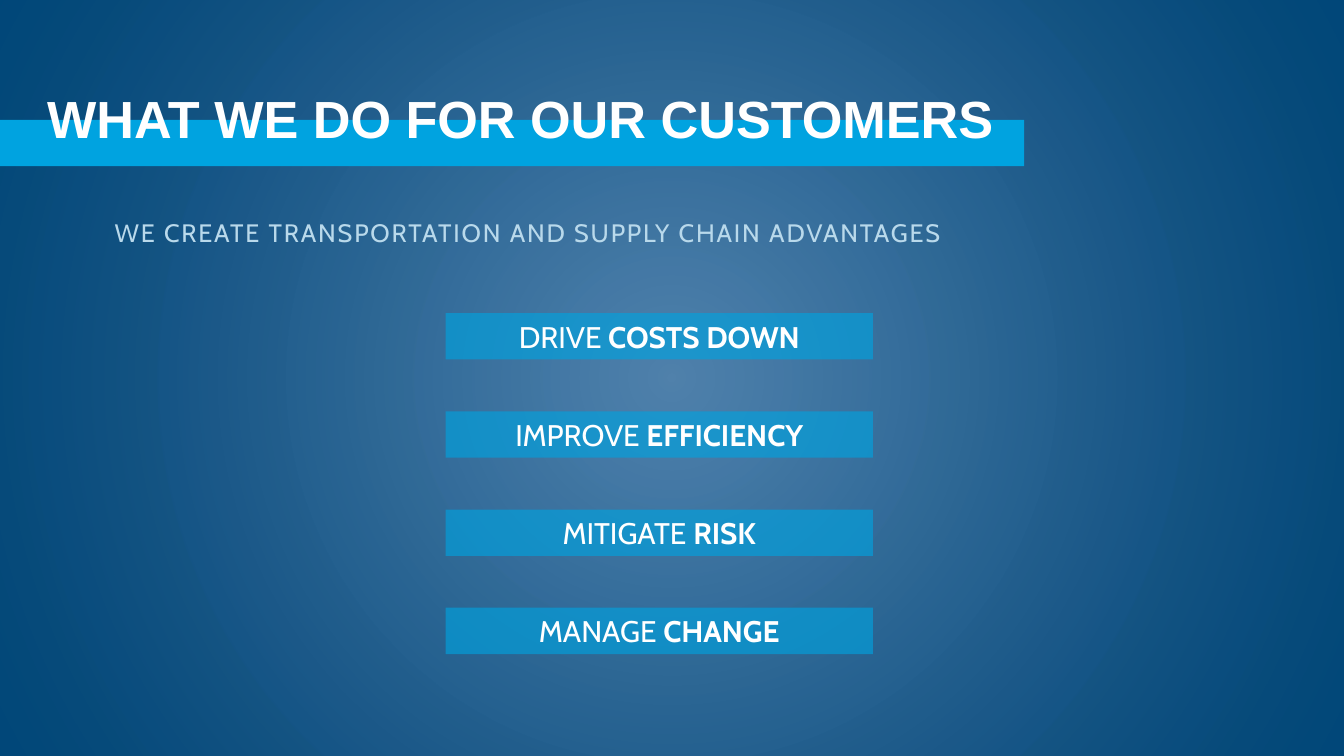
from lxml.etree import SubElement
from pptx import Presentation
from pptx.dml.color import RGBColor
from pptx.enum.shapes import MSO_SHAPE
from pptx.enum.text import MSO_ANCHOR, PP_ALIGN
from pptx.oxml import parse_xml
from pptx.oxml.ns import nsdecls, qn
from pptx.util import Cm, Pt

SLIDE_WIDTH, SLIDE_HEIGHT = 33.87, 19.05
BAR_HEIGHT = 1.17


def rgb(hex_colour):
    return RGBColor.from_string(hex_colour)


def add_run(paragraph, text, font="Cabin", size=21.3, colour="FFFFFF", bold=False, spacing=0):
    """Append formatted text; size and letter spacing are in points."""
    run = paragraph.add_run()
    run.text = text
    run.font.name = font
    run.font.size = Pt(size)
    run.font.bold = bold
    run.font.color.rgb = rgb(colour)
    if spacing:
        run.font._element.set("spc", str(round(spacing * 100)))


class SlideBuilder:
    accent = "00A3E0"
    pale = "B9D9EB"

    def __init__(self, slide):
        self.slide = slide

    def bar(self, left, top, width, height, opacity=100):
        bar = self.slide.shapes.add_shape(
            MSO_SHAPE.RECTANGLE, Cm(left), Cm(top), Cm(width), Cm(height))
        bar.shadow.inherit = False
        bar.line.fill.background()
        bar.fill.solid()
        bar.fill.fore_color.rgb = rgb(self.accent)
        if opacity < 100:
            colour = bar._element.spPr.find(qn("a:solidFill"))[0]
            SubElement(colour, qn("a:alpha")).set("val", str(opacity * 1000))
        return bar

    def glow(self, centre, edge):
        """Cover the slide with a radial gradient of (colour, opacity) pairs."""
        layer = self.bar(0, 0, SLIDE_WIDTH, SLIDE_HEIGHT)
        stops = "".join(
            f'<a:gs pos="{position}"><a:srgbClr val="{colour}">'
            f'<a:alpha val="{opacity * 1000}"/></a:srgbClr></a:gs>'
            for position, (colour, opacity) in ((0, centre), (100000, edge)))
        gradient = parse_xml(
            f'<a:gradFill {nsdecls("a")} rotWithShape="1"><a:gsLst>{stops}</a:gsLst>'
            '<a:path path="circle"><a:fillToRect l="50000" t="50000" r="50000" b="50000"/>'
            '</a:path></a:gradFill>')
        properties = layer._element.spPr
        properties.replace(properties.find(qn("a:solidFill")), gradient)

    def text(self, words, left, top, width, height, **style):
        box = self.slide.shapes.add_textbox(Cm(left), Cm(top), Cm(width), Cm(height))
        box.text_frame.word_wrap = True
        add_run(box.text_frame.paragraphs[0], words, **style)

    def benefit(self, verb, outcome, top):
        frame = self.bar(11.23, top, 10.77, BAR_HEIGHT, opacity=63).text_frame
        frame.word_wrap = True
        frame.vertical_anchor = MSO_ANCHOR.MIDDLE
        paragraph = frame.paragraphs[0]
        paragraph.alignment = PP_ALIGN.CENTER
        add_run(paragraph, verb + " ")
        add_run(paragraph, outcome, bold=True)


def main():
    deck = Presentation()
    deck.slide_width, deck.slide_height = Cm(SLIDE_WIDTH), Cm(SLIDE_HEIGHT)
    builder = SlideBuilder(deck.slides.add_slide(deck.slide_layouts[6]))

    builder.glow(("FFFFFF", 0), ("000000", 50))
    builder.glow(("004986", 69), ("00487A", 100))

    builder.bar(0, 3.02, 25.81, BAR_HEIGHT)
    builder.text("WHAT WE DO FOR OUR CUSTOMERS", 0.94, 2.06, 26.42, 1.85,
                 font="Arial", size=37.3, bold=True)
    builder.text("WE CREATE TRANSPORTATION AND SUPPLY CHAIN ADVANTAGES",
                 2.64, 5.36, 30.15, 1.02, size=18, colour=builder.pale, spacing=1.3)

    benefits = [("DRIVE", "COSTS DOWN"), ("IMPROVE", "EFFICIENCY"),
                ("MITIGATE", "RISK"), ("MANAGE", "CHANGE")]
    for row, (verb, outcome) in enumerate(benefits):
        builder.benefit(verb, outcome, top=7.89 + row * 2.475)

    deck.save("out.pptx")


if __name__ == "__main__":
    main()
